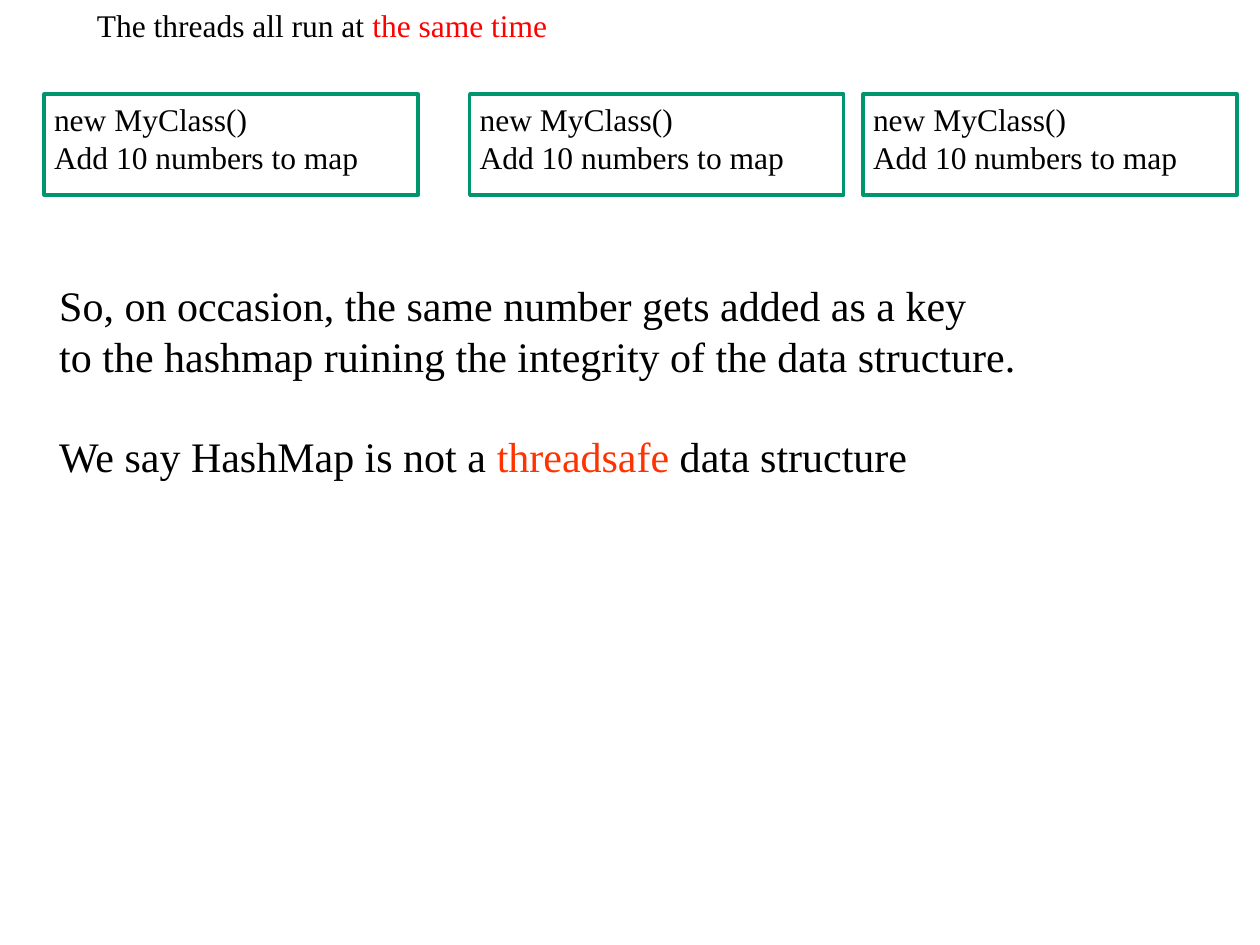
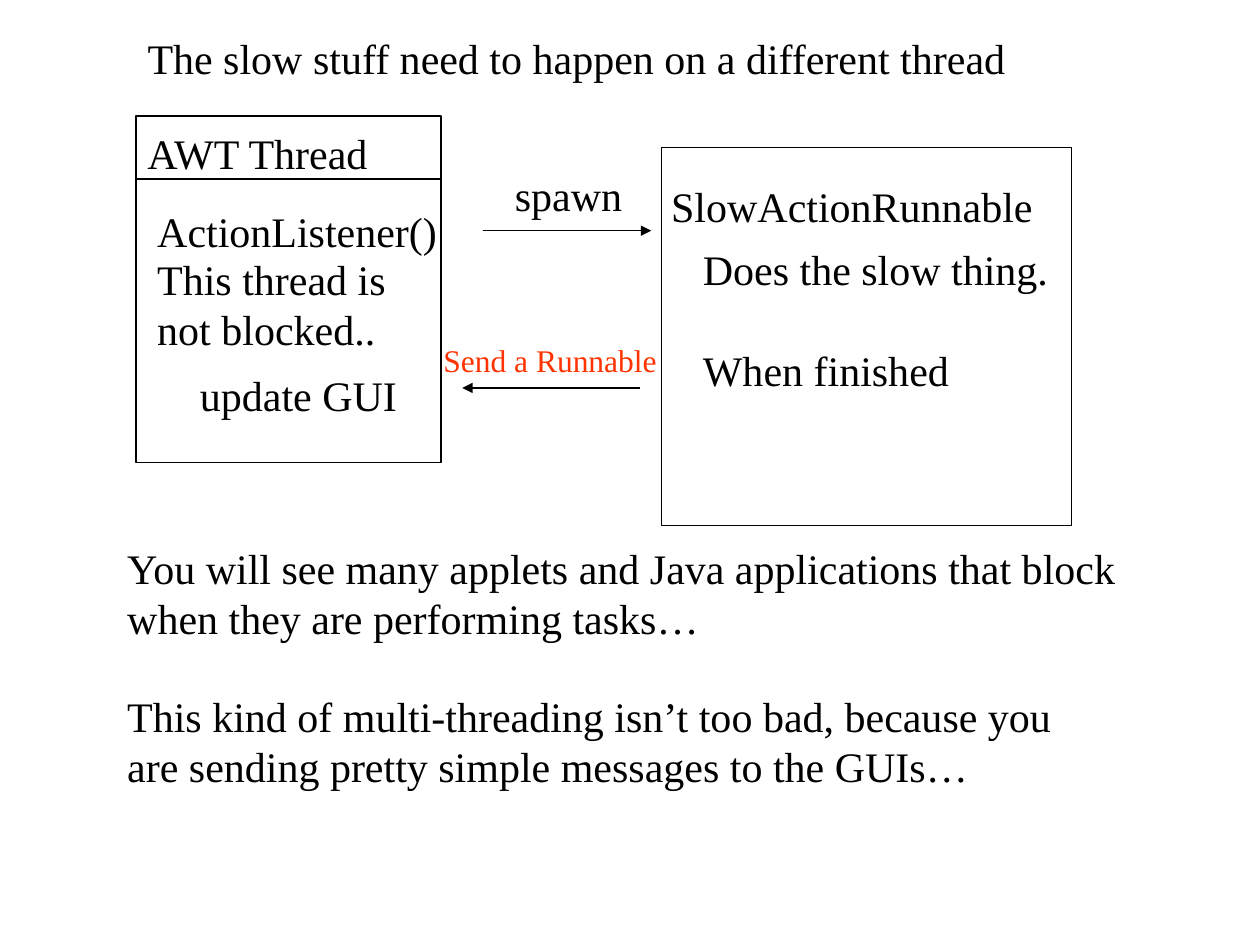
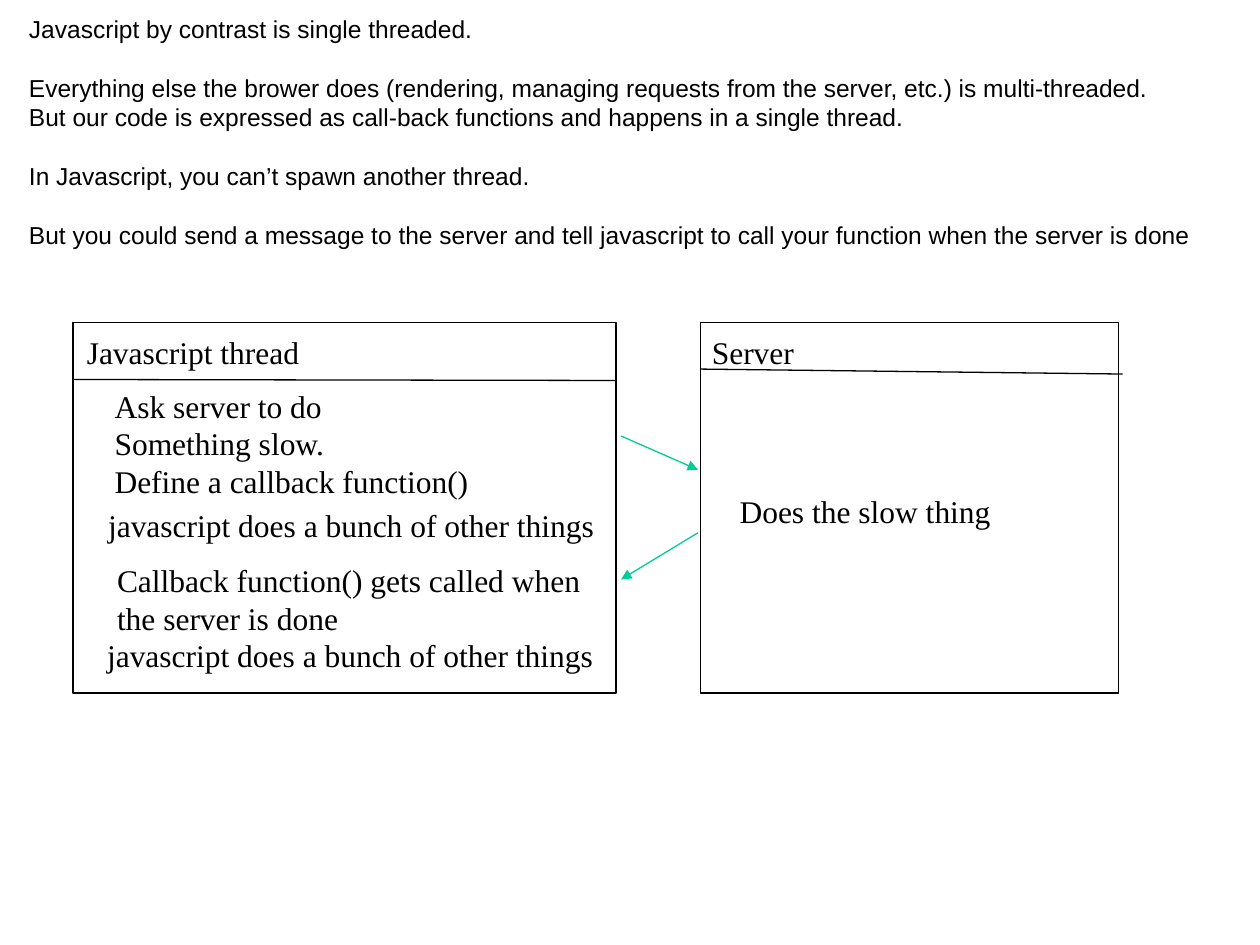
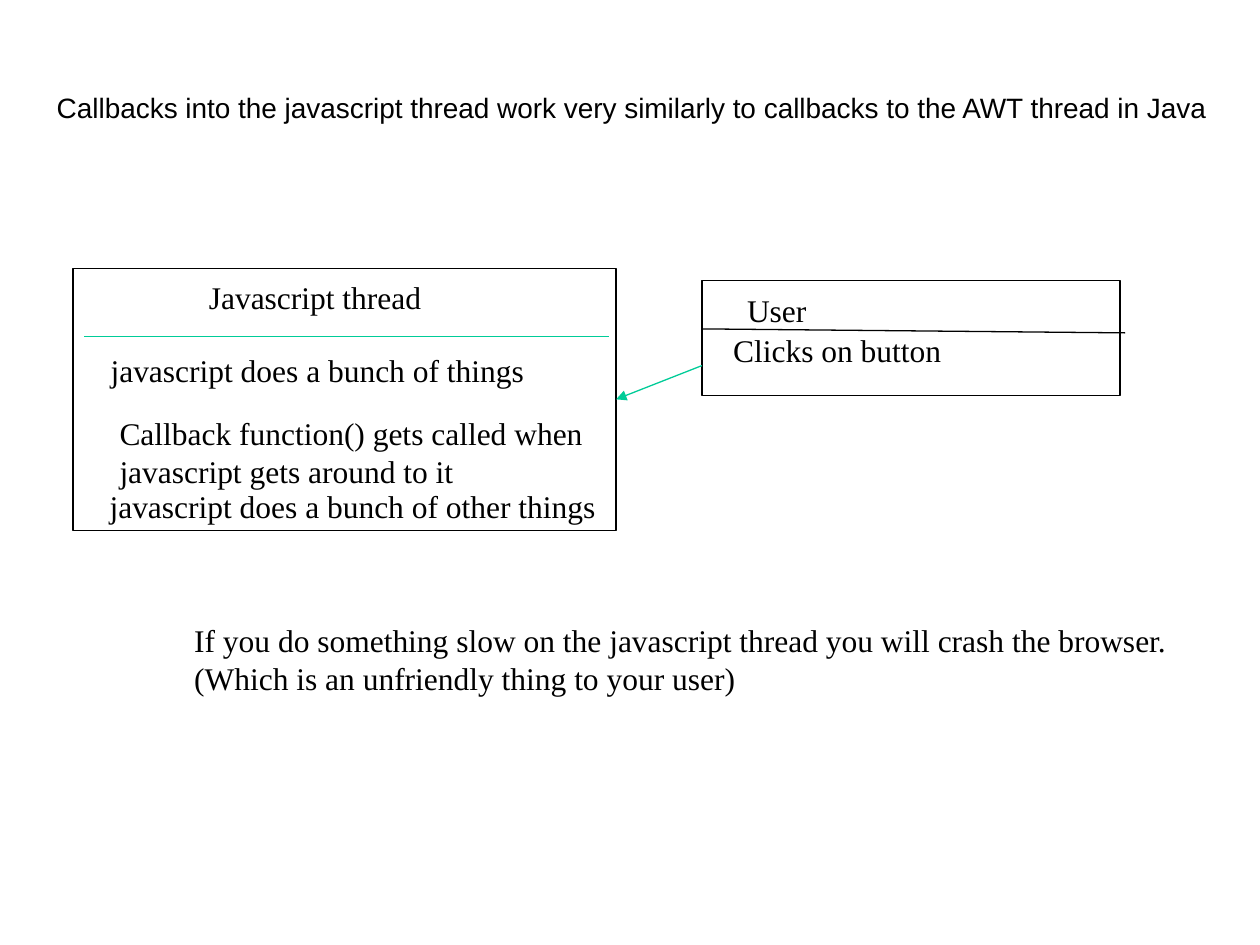
from dataclasses import dataclass

from pptx import Presentation
from pptx import util as u
from pptx.dml.color import RGBColor
from pptx.enum import shapes, text
from pptx.oxml.ns import qn
from lxml import etree


@dataclass(frozen=True)
class Theme:
    serif: str = "Times New Roman"
    sans: str = "Arial"
    black: str = "000000"
    red: str = "FF0000"
    orange: str = "FF3300"
    green: str = "00CC98"
    dark_green: str = "00956F"
    large: int = 24
    medium: int = 18
    caption: int = 16
    small: int = 14
    leading: float = 1.2
    thin: float = 0.75
    thick: float = 2


T = Theme()
TITLE_BODY, TWO_BODIES = 1, 3  # layouts of the default template


# ---- text ----

def add_run(p, words, size, font, color):
    r = p.add_run()
    r.text = words
    r.font.size = u.Pt(size)
    r.font.name = font
    r.font.color.rgb = RGBColor.from_string(color)


def write(sp, words, x, y, w, size=T.medium, font=T.serif, color=T.black,
          accent="", accent_color=T.orange, wrap=False):
    """Place sp and fill it; a blank line in words becomes paragraph spacing."""
    pitch = u.Pt(size * T.leading)
    rows = words.count("\n") + 1
    sp.left, sp.top, sp.width = u.Cm(x), u.Cm(y), u.Cm(w)
    sp.height = rows * pitch + u.Cm(0.25)
    tf = sp.text_frame
    tf.word_wrap = wrap
    tf.auto_size = text.MSO_AUTO_SIZE.SHAPE_TO_FIT_TEXT
    tf.vertical_anchor = text.MSO_ANCHOR.TOP
    gap, first = 0, True
    for line in words.split("\n"):
        if not line:
            gap = pitch
            continue
        p = tf.paragraphs[0] if first else tf.add_paragraph()
        p.alignment = text.PP_ALIGN.LEFT
        p.line_spacing, p.space_before, p.space_after = pitch, gap, 0
        pPr = p._p.get_or_add_pPr()
        pPr.set("marL", "0")
        pPr.set("indent", "0")
        etree.SubElement(pPr, qn("a:buNone"))
        before, hit, after = line.partition(accent) if accent else (line, "", "")
        for part, shade in ((before, color), (hit, accent_color), (after, color)):
            if part:
                add_run(p, part, size, font, shade)
        gap, first = 0, False


def label(s, words, x, y, w, **fmt):
    sp = s.shapes.add_textbox(0, 0, 0, 0)
    write(sp, words, x, y, w, **fmt)


# ---- boxes and lines ----

def box(s, x, y, w, h, color=T.black, width=T.thin):
    sp = s.shapes.add_shape(shapes.MSO_SHAPE.RECTANGLE,
                            u.Cm(x), u.Cm(y), u.Cm(w), u.Cm(h))
    sp.shadow.inherit = False
    sp.fill.background()
    sp.line.color.rgb = RGBColor.from_string(color)
    sp.line.width = u.Pt(width)


def line(s, x1, y1, x2, y2, color=T.black, arrow=False):
    cn = s.shapes.add_connector(shapes.MSO_CONNECTOR.STRAIGHT,
                                u.Cm(x1), u.Cm(y1), u.Cm(x2), u.Cm(y2))
    cn.line.color.rgb = RGBColor.from_string(color)
    cn.line.width = u.Pt(T.thin)
    if arrow:
        etree.SubElement(cn.line._get_or_add_ln(), qn("a:tailEnd"), type="triangle")
    etree.SubElement(cn._element.spPr, qn("a:effectLst"))


# ---- slides ----

def new_slide(prs, layout=TITLE_BODY):
    return prs.slides.add_slide(prs.slide_layouts[layout])


def same_time_slide(prs):
    s = new_slide(prs)
    write(s.shapes.title, "The threads all run at the same time", 1.7, 0, 20.96,
          accent="the same time", accent_color=T.red, wrap=True)
    for x in (0.89, 9.47, 17.4):
        box(s, x, 1.9, 7.54, 2.03, T.dark_green, T.thick)
        label(s, "new MyClass()\nAdd 10 numbers to map", x - 0.05, 1.9, 7.62, wrap=True)
    write(s.placeholders[1],
          "So, on occasion, the same number gets added as a key\n"
          "to the hashmap ruining the integrity of the data structure.\n\n"
          "We say HashMap is not a threadsafe data structure",
          0.94, 5.51, 19.9, size=T.large, accent="threadsafe")


def slow_stuff_slide(prs):
    s = new_slide(prs, TWO_BODIES)
    write(s.shapes.title, "The slow stuff need to happen on a different thread",
          2.72, 0.53, 17.95, size=T.large)
    # The two threads
    box(s, 2.74, 2.34, 6.15, 6.99)
    line(s, 2.74, 3.61, 8.89, 3.61)
    box(s, 13.34, 2.97, 8.26, 7.62)
    for words, x, y, w in (
            ("AWT Thread", 2.72, 2.44, 5.15),
            ("ActionListener()", 2.92, 4.01, 6.3),
            ("This thread is\nnot blocked..", 2.92, 4.98, 5.4),
            ("update GUI", 3.78, 7.32, 4.65),
            ("spawn", 10.13, 3.3, 2.8),
            ("SlowActionRunnable", 13.28, 3.51, 7.95),
            ("Does the slow thing.\n\nWhen finished", 13.92, 4.78, 7.6)):
        label(s, words, x, y, w, size=T.large)
    # Messages between them
    line(s, 9.73, 4.65, 13.13, 4.65, arrow=True)
    line(s, 12.9, 7.82, 9.32, 7.82, arrow=True)
    label(s, "Send a Runnable", 8.69, 6.76, 4.95, color=T.orange)
    # Remarks
    write(s.placeholders[1],
          "You will see many applets and Java applications that block\n"
          "when they are performing tasks…", 2.31, 10.8, 20.65, size=T.large)
    write(s.placeholders[2],
          "This kind of multi-threading isn’t too bad, because you\n"
          "are sending pretty simple messages to the GUIs…",
          2.31, 13.79, 19.5, size=T.large)


def single_thread_slide(prs):
    s = new_slide(prs)
    title = s.shapes.title._element
    title.getparent().remove(title)
    write(s.placeholders[1],
          "Javascript by contrast is single threaded.\n\n"
          "Everything else the brower does (rendering, managing requests "
          "from the server, etc.) is multi-threaded.\n"
          "But our code is expressed as call-back functions and happens "
          "in a single thread.\n\n"
          "In Javascript, you can’t spawn another thread.\n\n"
          "But you could send a message to the server and tell javascript "
          "to call your function when the server is done",
          0.33, 0.15, 24.2, size=T.small, font=T.sans)
    # Javascript thread
    box(s, 1.47, 6.5, 10.95, 7.47)
    line(s, 1.47, 7.65, 12.42, 7.67)
    label(s, "Javascript thread", 1.5, 6.58, 4.95)
    label(s, "Ask server to do\nSomething slow.\nDefine a callback function()",
          2.06, 7.67, 7.8)
    label(s, "javascript does a bunch of other things", 1.93, 10.08, 10.45)
    label(s, "Callback function() gets called when\nthe server is done",
          2.11, 11.18, 10)
    label(s, "javascript does a bunch of other things", 1.91, 12.7, 10.45)
    # Server
    box(s, 14.12, 6.5, 8.43, 7.47)
    line(s, 14.12, 7.44, 22.63, 7.54)
    label(s, "Server", 14.1, 6.58, 2.3)
    label(s, "Does the slow thing", 14.66, 9.8, 5.75)
    # Request and reply
    line(s, 12.52, 8.79, 14.07, 9.47, T.green, arrow=True)
    line(s, 14.07, 10.74, 12.52, 11.68, T.green, arrow=True)


def callbacks_slide(prs):
    s = new_slide(prs)
    write(s.shapes.title,
          "Callbacks into the javascript thread work very similarly "
          "to callbacks to the AWT thread in Java",
          0.89, 1.7, 23.9, size=T.caption, font=T.sans)
    # Javascript thread
    box(s, 1.47, 5.41, 10.95, 5.28)
    line(s, 1.7, 6.78, 12.27, 6.78, T.green)
    label(s, "Javascript thread", 3.96, 5.49, 4.95)
    label(s, "javascript does a bunch of things", 1.98, 6.96, 9)
    label(s, "Callback function() gets called when\njavascript gets around to it",
          2.16, 8.23, 10)
    label(s, "javascript does a bunch of other things", 1.96, 9.7, 10.45)
    # User
    box(s, 14.15, 5.66, 8.43, 2.31)
    line(s, 14.15, 6.63, 22.68, 6.71)
    label(s, "User", 14.81, 5.74, 1.85)
    label(s, "Clicks on button", 14.53, 6.55, 4.85)
    line(s, 14.15, 7.37, 12.42, 8.05, T.green, arrow=True)
    # Warning
    write(s.placeholders[1],
          "If you do something slow on the javascript thread you will "
          "crash the browser.\n(Which is an unfriendly thing to your user)",
          3.66, 12.4, 20.3)


def main():
    prs = Presentation()
    prs.slide_width, prs.slide_height = u.Cm(25.4), u.Cm(19.05)
    same_time_slide(prs)
    slow_stuff_slide(prs)
    single_thread_slide(prs)
    callbacks_slide(prs)
    prs.save("out.pptx")


if __name__ == "__main__":
    main()
